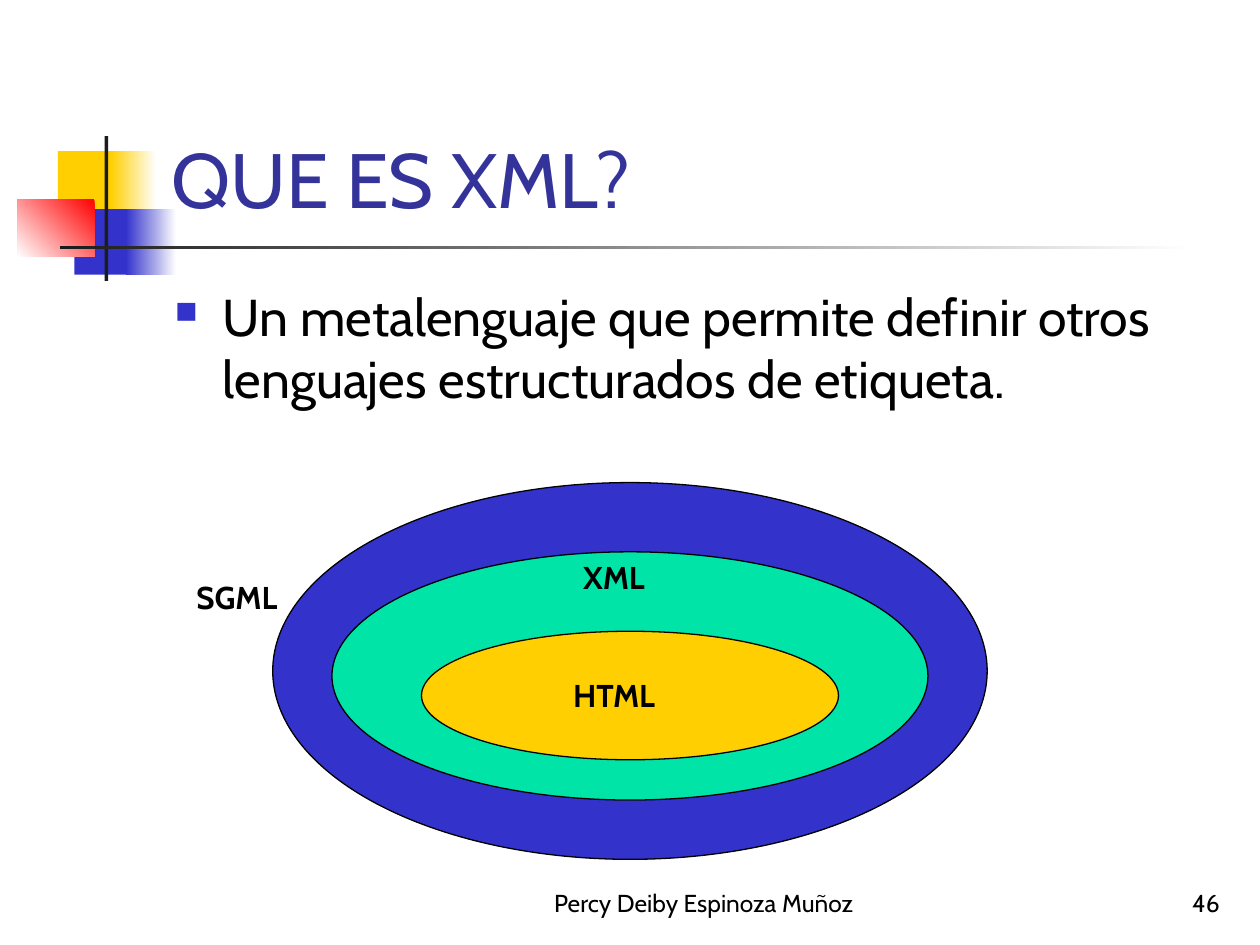
from pptx import Presentation
from pptx.dml.color import RGBColor
from pptx.enum.shapes import MSO_SHAPE
from pptx.enum.text import MSO_ANCHOR, MSO_AUTO_SIZE, PP_ALIGN
from pptx.oxml import parse_xml
from pptx.oxml.ns import nsdecls
from pptx.util import Inches, Pt

FONT = "Cabin"
WHITE = RGBColor(0xFF, 0xFF, 0xFF)
BLACK = RGBColor(0x00, 0x00, 0x00)
DARK = RGBColor(0x1C, 0x1C, 0x1C)
YELLOW = RGBColor(0xFF, 0xCF, 0x01)
BLUE = RGBColor(0x33, 0x33, 0xCC)
RED = RGBColor(0xFF, 0x00, 0x00)
GREEN = RGBColor(0x00, 0xE4, 0xA8)
TITLE_BLUE = RGBColor(0x33, 0x33, 0x99)


def add_block(s, kind, box, color):
    """Add a plain filled shape without outline."""
    sp = s.shapes.add_shape(kind, *map(Inches, box))
    sp.shadow.inherit = False
    sp.fill.solid()
    sp.fill.fore_color.rgb = color
    sp.line.fill.background()
    return sp


def add_fade(s, box, start, end, angle=180):
    """Add a rectangle that fades between two colours."""
    sp = add_block(s, MSO_SHAPE.RECTANGLE, box, start)
    sp.fill.gradient()
    sp.fill.gradient_angle = angle
    for stop, color in zip(sp.fill.gradient_stops, (start, end)):
        stop.color.rgb = color


def add_ellipse(s, top, width, height, color):
    """Add an outlined ellipse centred across the slide."""
    sp = add_block(s, MSO_SHAPE.OVAL, (5 - width / 2, top, width, height), color)
    sp.line.color.rgb = BLACK
    sp.line.width = Pt(0.75)


def write(tf, text, size, color=BLACK, bold=False, align=PP_ALIGN.LEFT,
          anchor=MSO_ANCHOR.TOP):
    tf.word_wrap = True
    tf.auto_size = MSO_AUTO_SIZE.NONE
    tf.vertical_anchor = anchor
    p = tf.paragraphs[0]
    p.alignment = align
    r = p.add_run()
    r.text = text
    r.font.name = FONT
    r.font.size = Pt(size)
    r.font.bold = bold
    r.font.color.rgb = color


def add_text(s, box, text, size, **style):
    tb = s.shapes.add_textbox(*map(Inches, box))
    write(tb.text_frame, text, size, **style)
    return tb


def set_bullet(p):
    pPr = p._p.get_or_add_pPr()
    pPr.set("marL", str(Inches(0.38)))
    pPr.set("indent", str(-Inches(0.38)))
    for xml in (f'<a:buClr {nsdecls("a")}><a:srgbClr val="{BLUE}"/></a:buClr>',
                f'<a:buSzPct {nsdecls("a")} val="60000"/>',
                f'<a:buChar {nsdecls("a")} char="■"/>'):
        pPr.append(parse_xml(xml))


def add_ornament(s):
    rect = MSO_SHAPE.RECTANGLE
    add_block(s, rect, (0.46, 1.2, 0.48, 0.52), YELLOW)
    add_fade(s, (0.88, 1.2, 0.36, 0.52), WHITE, YELLOW)
    add_block(s, rect, (0.59, 1.66, 0.46, 0.52), BLUE)
    add_fade(s, (1, 1.66, 0.4, 0.52), WHITE, BLUE)
    add_fade(s, (0.14, 1.58, 0.61, 0.46), RED, WHITE, angle=225)
    add_block(s, rect, (0.83, 1.08, 0.03, 1.15), DARK)
    add_fade(s, (0.48, 1.95, 9, 0.03), WHITE, DARK)


def add_title(s, text):
    title = s.shapes.title
    title.left, title.top, title.width, title.height = map(
        Inches, (1.26, 0.23, 8.52, 1.6))
    write(title.text_frame, text, 44, TITLE_BLUE, anchor=MSO_ANCHOR.BOTTOM)
    s.shapes.element.append(title.element)  # in front of the ornament


def main():
    prs = Presentation()
    prs.slide_width, prs.slide_height = Inches(10), Inches(7.5)
    s = prs.slides.add_slide(prs.slide_layouts[5])

    # Heading
    add_ornament(s)
    add_title(s, "QUE ES XML?")

    # Definition
    body = add_text(s, (1.29, 2.21, 8.5, 1.7),
                    "Un metalenguaje que permite definir otros lenguajes "
                    "estructurados de etiqueta.", 29.6)
    set_bullet(body.text_frame.paragraphs[0])

    # Nested languages
    add_ellipse(s, 3.83, 5.67, 2.99, BLUE)
    add_ellipse(s, 4.38, 4.73, 1.97, GREEN)
    add_ellipse(s, 5.01, 3.31, 1.02, YELLOW)
    for left, top, name in ((4.53, 4.38, "XML"), (1.46, 4.54, "SGML"),
                            (4.45, 5.32, "HTML")):
        add_text(s, (left, top, 0.94, 0.4), name, 18, bold=True)

    # Footer
    add_text(s, (4, 6.83, 3.17, 0.5), "Percy Deiby Espinoza Muñoz", 14,
             align=PP_ALIGN.CENTER, anchor=MSO_ANCHOR.BOTTOM)
    add_text(s, (7.7, 6.83, 2.08, 0.5), "46", 14,
             align=PP_ALIGN.RIGHT, anchor=MSO_ANCHOR.BOTTOM)

    prs.save("out.pptx")


if __name__ == "__main__":
    main()
